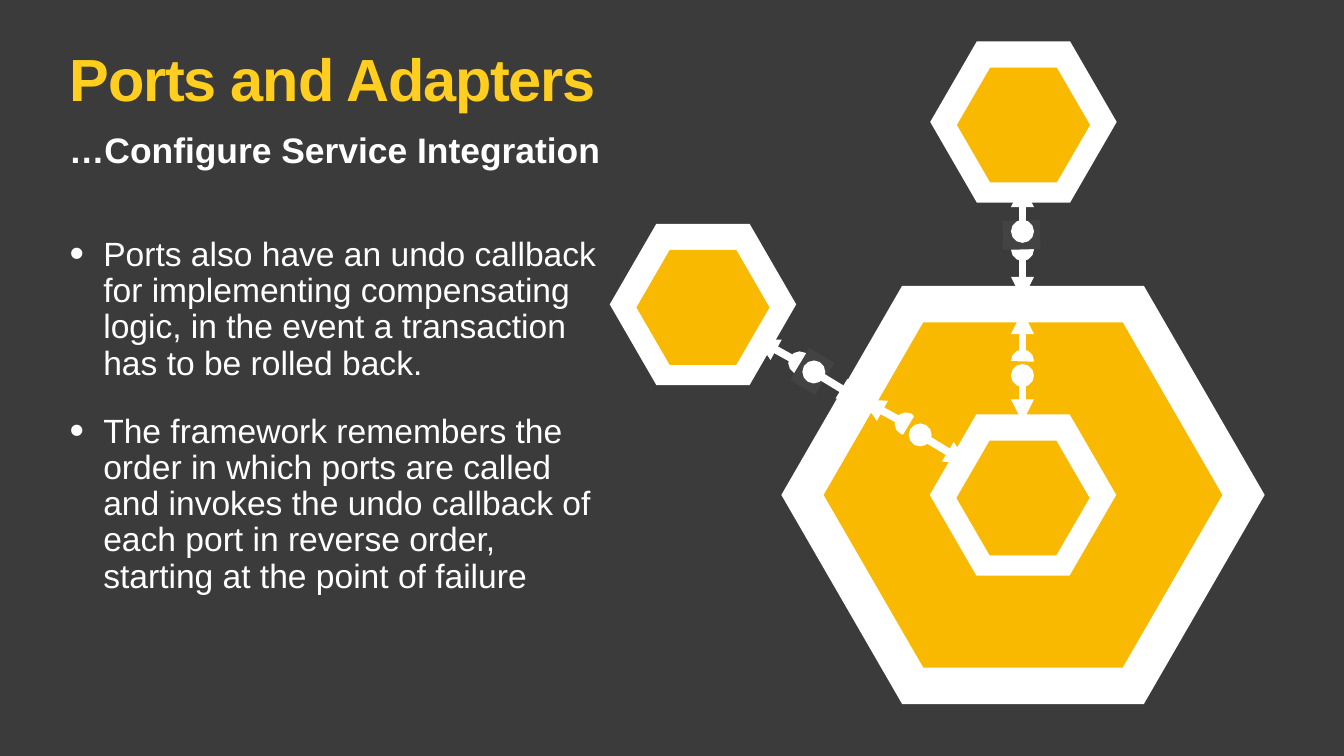
from lxml.etree import SubElement
from pptx import Presentation
from pptx.dml.color import RGBColor
from pptx.enum.shapes import MSO_CONNECTOR as Connector, MSO_SHAPE as Shape
from pptx.enum.text import MSO_ANCHOR as Anchor
from pptx.oxml.ns import qn
from pptx.util import Inches, Pt

BACKGROUND = RGBColor(0x3B, 0x3B, 0x3B)
GAP_GREY = RGBColor(0x43, 0x43, 0x43)
WHITE = RGBColor(0xFF, 0xFF, 0xFF)
AMBER = RGBColor(0xF9, 0xB9, 0x00)
YELLOW = RGBColor(0xFF, 0xCE, 0x1E)

TITLE = {"size": Pt(85), "bold": True, "color": YELLOW}
SUBTITLE = {"size": Pt(50.6), "bold": True, "color": WHITE}
BODY = {"size": Pt(48), "bold": False, "color": WHITE}

BULLETS = [
    "Ports also have an undo callback for implementing compensating logic, "
    "in the event a transaction has to be rolled back.",
    "The framework remembers the order in which ports are called and invokes "
    "the undo callback of each port in reverse order, starting at the point of failure",
]

SERVICE_CENTERS = [(20.3, 9.82), (13.95, 6.04), (20.31, 2.42)]

JUNCTIONS = [
    ((15.87, 7.2), (15, 6.72), (16.12, 7.37), 31, GAP_GREY, (16.15, 7.38), (17.09, 7.95)),
    ((20.29, 4.95), (20.29, 5.95), (20.27, 4.66), 88.4, GAP_GREY, (20.29, 4.59), (20.29, 3.65)),
    ((17.98, 8.41), (17.11, 7.93), (18.27, 8.61), 31, AMBER, (18.26, 8.63), (19.2, 9.2)),
    ((20.29, 7.16), (20.29, 6.17), (20.27, 7.46), 91.6, AMBER, (20.29, 7.45), (20.29, 8.38)),
]


class SlideBuilder:
    font_name = "Arial"
    line_width = Pt(11)

    def __init__(self, slide):
        self.slide = slide
        fill = slide.background.fill
        fill.solid()
        fill.fore_color.rgb = BACKGROUND

    def text(self, box, paragraphs, style, margin, line_spacing=1.0,
             anchor=Anchor.TOP, tracking=None, bulleted=False):
        frame = self.slide.shapes.add_textbox(*map(Inches, box)).text_frame
        settings = {"word_wrap": True, "vertical_anchor": anchor}
        for side in ("left", "right", "top", "bottom"):
            settings[f"margin_{side}"] = Inches(margin)
        for name, value in settings.items():
            setattr(frame, name, value)
        for index, words in enumerate(paragraphs):
            paragraph = frame.add_paragraph() if index else frame.paragraphs[0]
            paragraph.line_spacing = line_spacing
            if bulleted:
                self.bullet(paragraph)
            run = paragraph.add_run()
            run.text = words
            run.font.name = self.font_name
            for name, value in style.items():
                if name == "color":
                    run.font.color.rgb = value
                else:
                    setattr(run.font, name, value)
            if tracking is not None:
                run._r.get_or_add_rPr().set("spc", str(tracking))

    def bullet(self, paragraph):
        paragraph.space_before = Pt(45)
        properties = paragraph._p.get_or_add_pPr()
        properties.set("marL", str(Inches(0.67)))
        properties.set("indent", str(-Inches(0.67)))
        SubElement(properties, qn("a:buSzPct"), val="123000")
        SubElement(properties, qn("a:buFont"), typeface=self.font_name)
        SubElement(properties, qn("a:buChar"), char="•")

    def paint(self, shape, color):
        shape.shadow.inherit = False
        shape.fill.solid()
        shape.fill.fore_color.rgb = color
        shape.line.fill.background()

    def hexagon(self, center, width, height, color):
        x, y = center
        corners = [
            (Inches(x + dx * width), Inches(y + dy * height))
            for dx, dy in ((0.5, 0), (0.25, 0.5), (-0.25, 0.5),
                           (-0.5, 0), (-0.25, -0.5), (0.25, -0.5))
        ]
        builder = self.slide.shapes.build_freeform(*corners[0])
        builder.add_line_segments(corners[1:], close=True)
        self.paint(builder.convert_to_shape(), color)

    def service(self, center):
        x, y = center
        self.hexagon(center, 3.7, 3.2, WHITE)
        self.hexagon((x, y + 0.06), 2.64, 2.28, AMBER)

    def cover(self, center, angle, color, width=0.58, height=0.74):
        x, y = center
        box = (x - width / 2, y - height / 2, width, height)
        shape = self.slide.shapes.add_shape(Shape.RECTANGLE, *map(Inches, box))
        shape.rotation = angle
        self.paint(shape, color)

    def arrow(self, start, end):
        connector = self.slide.shapes.add_connector(
            Connector.STRAIGHT, *map(Inches, start + end))
        connector.line.color.rgb = WHITE
        connector.line.width = self.line_width
        line = connector.line._get_or_add_ln()
        SubElement(line, qn("a:headEnd"), type="oval")
        SubElement(line, qn("a:tailEnd"), type="triangle")
        SubElement(connector._element.spPr, qn("a:effectLst"))

    def junction(self, socket_start, socket_end, center, angle, color, ball_start, ball_end):
        self.arrow(socket_start, socket_end)
        self.cover(center, angle, color)
        self.arrow(ball_start, ball_end)


def main():
    presentation = Presentation()
    presentation.slide_width = Inches(26.67)
    presentation.slide_height = Inches(15)
    builder = SlideBuilder(presentation.slides.add_slide(presentation.slide_layouts[6]))

    builder.text((1.32, 1.04, 10.69, 1.57), ["Ports and Adapters"], TITLE, 0.06,
                 line_spacing=0.8, tracking=-170)
    builder.text((1.32, 2.46, 10.69, 1.02), ["…Configure Service Integration"],
                 SUBTITLE, 0.05, anchor=Anchor.MIDDLE)
    builder.text((1.32, 4.65, 10.69, 9.03), BULLETS, BODY, 0.06,
                 line_spacing=0.9, bulleted=True)

    builder.hexagon((20.3, 9.82), 9.59, 8.3, WHITE)
    builder.hexagon((20.3, 9.82), 7.91, 6.85, AMBER)
    for center in SERVICE_CENTERS:
        builder.service(center)
    for junction in JUNCTIONS:
        builder.junction(*junction)

    presentation.save("out.pptx")


if __name__ == "__main__":
    main()
